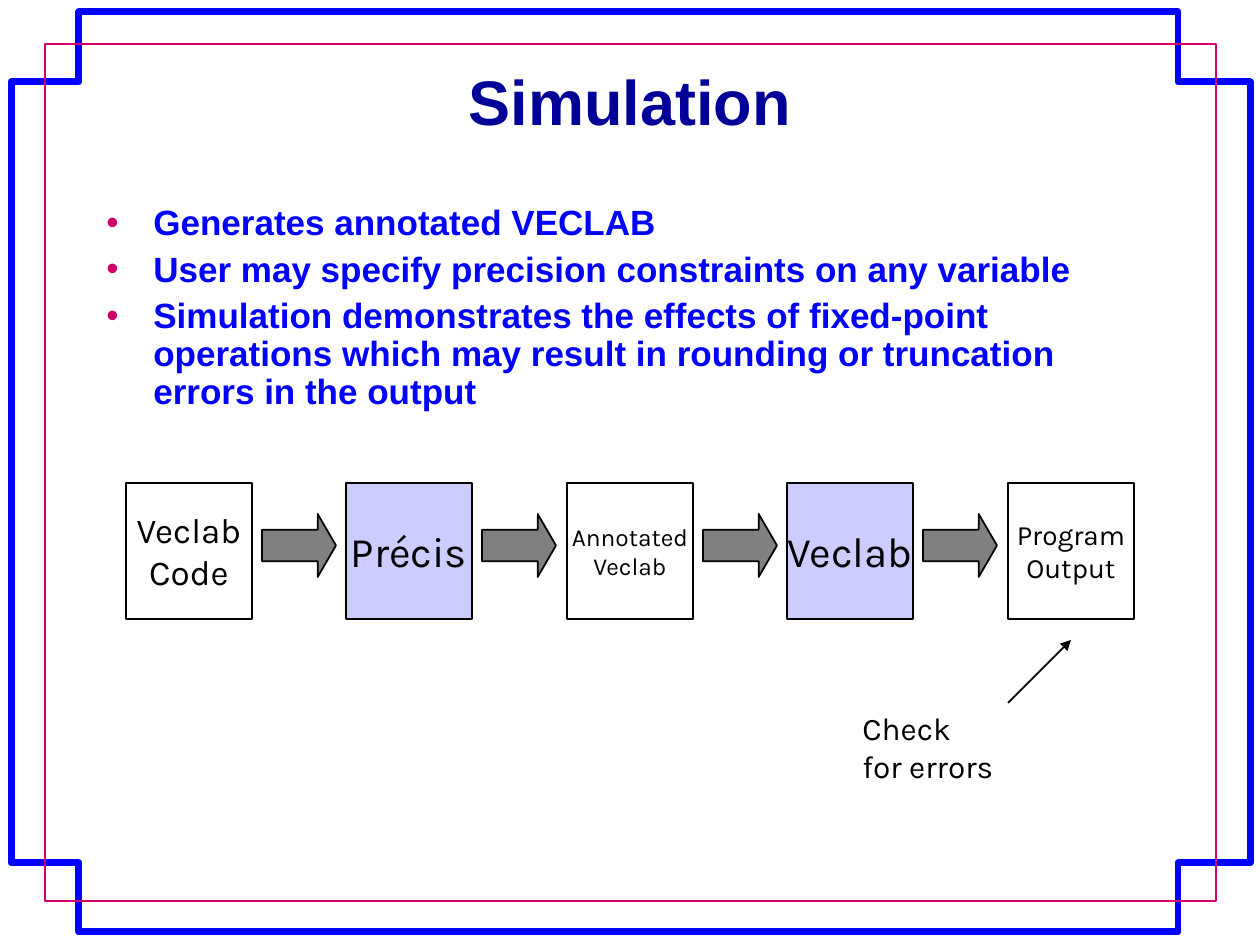
"""Build the Simulation slide: framed title, bullets and a five-step flow."""
from lxml import etree
from pptx import Presentation
from pptx import util as u
from pptx.dml.color import RGBColor
from pptx.enum import shapes, text
from pptx.oxml import ns

INK = {"frame": "0000FF", "rule": "D5006C", "title": "000099", "body": "0000FF",
       "dot": "CC0066", "tool": "CCCCFF", "arrow": "808080", "black": "000000"}


def px(*nums):
    return [u.Emu(round(n * 914400 / 126)) for n in nums]


def paint(shape, line, width=1, fill=None):
    shape.shadow.inherit = False
    shape.line.color.rgb = RGBColor.from_string(INK[line])
    shape.line.width = u.Pt(width)
    if fill:
        shape.fill.solid()
        shape.fill.fore_color.rgb = RGBColor.from_string(INK[fill])
    else:
        shape.fill.background()


deck = Presentation()
deck.slide_width, deck.slide_height = px(1260, 945)
slide = deck.slides.add_slide(deck.slide_layouts[5])
items = slide.shapes
kind = shapes.MSO_SHAPE

x1, x2, x3, x4 = px(11, 79, 1178, 1250)
y1, y2, y3, y4 = px(12, 82, 863, 932)
pen = items.build_freeform(x1, y2, scale=1.0)
pen.add_line_segments([(x2, y2), (x2, y1), (x3, y1), (x3, y2), (x4, y2), (x4, y3),
                       (x3, y3), (x3, y4), (x2, y4), (x2, y3), (x1, y3)], close=True)
paint(pen.convert_to_shape(), "frame", 4)
paint(items.add_shape(kind.RECTANGLE, *px(45, 44, 1171, 857)), "rule")

title = items.title
title.left, title.top, title.width, title.height = px(94, 53, 1072, 94)
title.text_frame.text = "Simulation"
title.text_frame.vertical_anchor = text.MSO_ANCHOR.MIDDLE
para = title.text_frame.paragraphs[0]
para.alignment = text.PP_ALIGN.CENTER
para.font.name, para.font.size, para.font.bold = "Arial", u.Pt(36), True
para.font.color.rgb = RGBColor.from_string(INK["title"])

body = items.add_textbox(*px(94, 199, 1061, 231)).text_frame
body.word_wrap = True
body.text = "\n".join([
    "Generates annotated VECLAB",
    "User may specify precision constraints on any variable",
    "Simulation demonstrates the effects of fixed-point operations which may "
    "result in rounding or truncation errors in the output"])
for para in body.paragraphs:
    para.line_spacing, para.space_before = 0.9, u.Pt(5)
    para.font.name, para.font.size, para.font.bold = "Arial", u.Pt(20), True
    para.font.color.rgb = RGBColor.from_string(INK["body"])
    props = para._p.get_or_add_pPr()
    inset = px(47)[0]
    props.set("marL", str(inset))
    props.set("indent", str(-inset))
    tint = etree.SubElement(props, ns.qn("a:buClr"))
    etree.SubElement(tint, ns.qn("a:srgbClr"), val=INK["dot"])
    etree.SubElement(props, ns.qn("a:buFont"), typeface="Arial")
    etree.SubElement(props, ns.qn("a:buChar"), char="•")

steps = [("Veclab\nCode", 20, None), ("Précis", 24, "tool"),
         ("Annotated\nVeclab", 14, None), ("Veclab", 24, "tool"),
         ("Program\nOutput", 16, None)]
for i, (label, size, fill) in enumerate(steps):
    left = 126 + i * 441 // 2
    box = items.add_shape(kind.RECTANGLE, *px(left, 483, 126, 136))
    paint(box, "black", 1, fill)
    frame = box.text_frame
    frame.text = label
    frame.word_wrap = False
    frame.vertical_anchor = text.MSO_ANCHOR.MIDDLE
    for para in frame.paragraphs:
        para.alignment = text.PP_ALIGN.CENTER
        para.font.name, para.font.size = "Karla", u.Pt(size)
        para.font.color.rgb = RGBColor.from_string(INK["black"])
    if i < len(steps) - 1:
        arrow = items.add_shape(kind.RIGHT_ARROW, *px(left + 136, 514, 74, 63))
        arrow.adjustments[0], arrow.adjustments[1] = 0.5, 0.29
        paint(arrow, "black", 1, "arrow")

note = items.add_textbox(*px(850, 703, 158, 126)).text_frame
note.word_wrap = True
note.text = "Check for errors"
para = note.paragraphs[0]
para.font.name, para.font.size = "Karla", u.Pt(18)
para.font.color.rgb = RGBColor.from_string(INK["black"])

link = items.add_connector(shapes.MSO_CONNECTOR.STRAIGHT, *px(1008, 703, 1071, 640))
link.line.color.rgb = RGBColor.from_string(INK["black"])
link.line.width = u.Pt(1)
etree.SubElement(link.line._get_or_add_ln(), ns.qn("a:tailEnd"), type="triangle")
etree.SubElement(link._element.spPr, ns.qn("a:effectLst"))

deck.save("out.pptx")
